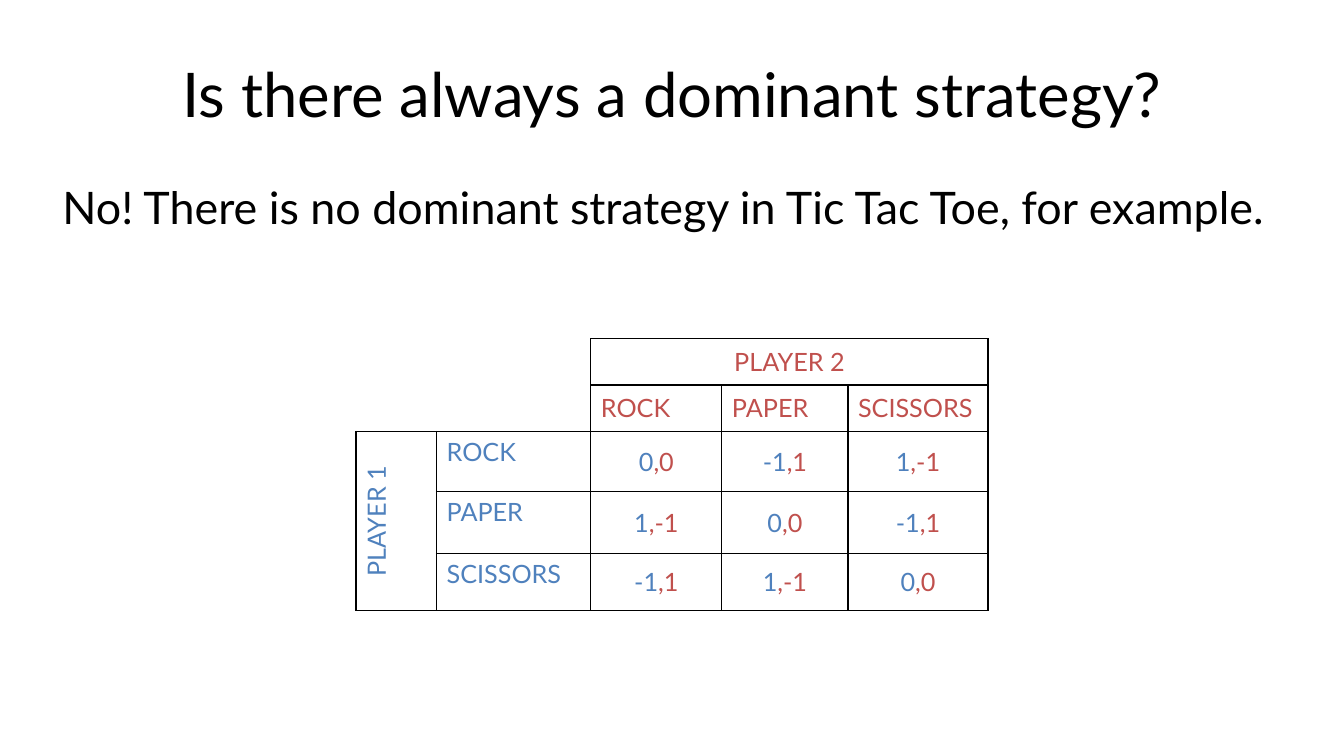
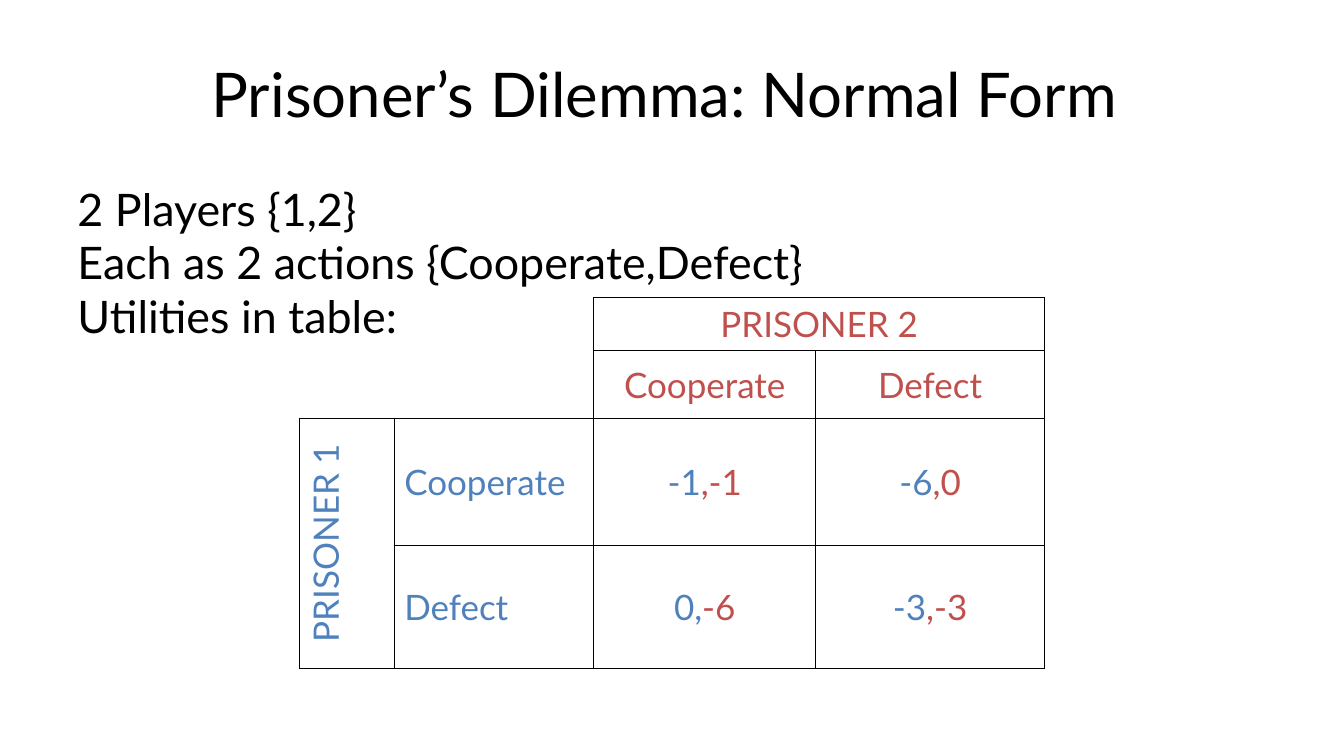
"""Build two slides on dominant strategies, each with a payoff table."""
from dataclasses import dataclass
from itertools import product

from lxml.etree import SubElement
from pptx import Presentation
from pptx.dml.color import RGBColor
from pptx.enum.text import MSO_ANCHOR, MSO_AUTO_SIZE, PP_ALIGN
from pptx.oxml.ns import qn
from pptx.util import Emu, Pt


@dataclass(frozen=True)
class Theme:
    """Hold the font, colours and type sizes."""
    font: str = "Lato"
    ink: str = "000000"
    blue: str = "4F81BD"
    red: str = "C0504D"
    title: int = 44
    body: int = 32
    small: int = 18
    large: int = 25


THEME = Theme()
WIDTH, HEIGHT = 1333, 750
LEFT, CENTER = PP_ALIGN.LEFT, PP_ALIGN.CENTER
TOP, MIDDLE = MSO_ANCHOR.TOP, MSO_ANCHOR.MIDDLE


def px(count):
    """Turn px, at 100 to the inch, into EMU."""
    return Emu(count * 9144)


def write(frame, text, size=THEME.body, colors=(THEME.ink,), align=LEFT):
    """Fill a frame; newlines part paragraphs and bars part colours."""
    for index, line in enumerate(text.split("\n")):
        para = frame.add_paragraph() if index else frame.paragraphs[0]
        para.alignment = align
        for part, color in zip(line.split("|"), colors):
            run = para.add_run()
            run.text = part
            run.font.name = THEME.font
            run.font.size = Pt(size)
            run.font.color.rgb = RGBColor.from_string(color)


def add_page(deck, title):
    """Add a slide with its title in place."""
    slide = deck.slides.add_slide(deck.slide_layouts[5])
    shape = slide.shapes.title
    shape.left, shape.top = px(67), px(30)
    shape.width, shape.height = px(1200), px(125)
    frame = shape.text_frame
    frame.auto_size = MSO_AUTO_SIZE.NONE
    frame.vertical_anchor = MIDDLE
    write(frame, title, size=THEME.title, align=CENTER)
    return slide


def add_body(slide, text, left, top, width):
    """Add a wrapped block of body text."""
    box = slide.shapes.add_textbox(px(left), px(top), px(width), px(495))
    box.text_frame.word_wrap = True
    write(box.text_frame, text)


def rule_cell(cell, sides):
    """Draw the named sides of a cell and clear its fill."""
    props = cell._tc.get_or_add_tcPr()
    for side in "LRTB":
        line = SubElement(props, qn(f"a:ln{side}"), w=str(Pt(1)))
        if side in sides:
            fill = SubElement(line, qn("a:solidFill"))
            SubElement(fill, qn("a:srgbClr"), val=THEME.ink)
        else:
            SubElement(line, qn("a:noFill"))
    cell.fill.background()


def fill_cell(cell, text, anchor=MIDDLE, **style):
    """Write one cell."""
    cell.vertical_anchor = anchor
    write(cell.text_frame, text, **style)


def add_game(slide, left, top, cols, rows, role, moves, scores, size,
             head=CENTER, side=MIDDLE):
    """Add the payoff table of a game for two."""
    shape = slide.shapes.add_table(len(rows), len(cols), px(left), px(top),
                                   px(sum(cols)), px(sum(rows)))
    table = shape.table
    table.first_row = table.horz_banding = False
    for column, width in zip(table.columns, cols):
        column.width = px(width)
    for row, height in zip(table.rows, rows):
        row.height = px(height)
    for row, col in product(range(len(rows)), range(len(cols))):
        corner = row < 2 and col < 2
        rule_cell(table.cell(row, col), "RB" if corner else "LRTB")

    last_row, last_col = len(rows) - 1, len(cols) - 1
    table.cell(0, 0).merge(table.cell(1, 1))
    table.cell(0, 2).merge(table.cell(0, last_col))
    table.cell(2, 0).merge(table.cell(last_row, 0))

    blue, red = (THEME.blue,), (THEME.red,)
    fill_cell(table.cell(0, 2), f"{role} 2", size=size, colors=red,
              align=CENTER)
    turned = table.cell(2, 0)
    fill_cell(turned, f"{role} 1", size=size, colors=blue, align=CENTER)
    turned._tc.get_or_add_tcPr().set("vert", "vert270")
    for index, (move, line) in enumerate(zip(moves, scores), 2):
        fill_cell(table.cell(1, index), move, size=size, colors=red,
                  align=head)
        fill_cell(table.cell(index, 1), move, anchor=side, size=size,
                  colors=blue)
        for col, score in enumerate(line, 2):
            fill_cell(table.cell(index, col), score, size=size,
                      colors=blue + red, align=CENTER)


def main():
    """Build and save the deck."""
    deck = Presentation()
    deck.slide_width, deck.slide_height = px(WIDTH), px(HEIGHT)

    slide = add_page(deck, "Is there always a dominant strategy?")
    add_body(slide, "No! There is no dominant strategy in Tic Tac Toe, "
             "for example.", 52, 173, 1267)
    tie, win, loss = "0|,0", "1|,-1", "-1|,1"
    add_game(slide, 353, 336, cols=(80, 153, 130, 125, 139),
             rows=(46, 46, 60, 61, 57), role="PLAYER",
             moves=("ROCK", "PAPER", "SCISSORS"),
             scores=((tie, loss, win), (win, tie, loss), (loss, win, tie)),
             size=THEME.small, head=LEFT, side=TOP)

    slide = add_page(deck, "Prisoner’s Dilemma: Normal Form ")
    add_game(slide, 297, 295, cols=(94, 198, 220, 227),
             rows=(53, 67, 126, 122), role="PRISONER",
             moves=("Cooperate", "Defect"),
             scores=(("-1|,-1", "-6|,0"), ("0,|-6", "-3|,-3")),
             size=THEME.large)
    add_body(slide, "2 Players {1,2}\nEach as 2 actions {Cooperate,Defect}\n"
             "Utilities in table:", 67, 175, 1200)

    deck.save("out.pptx")


if __name__ == "__main__":
    main()
